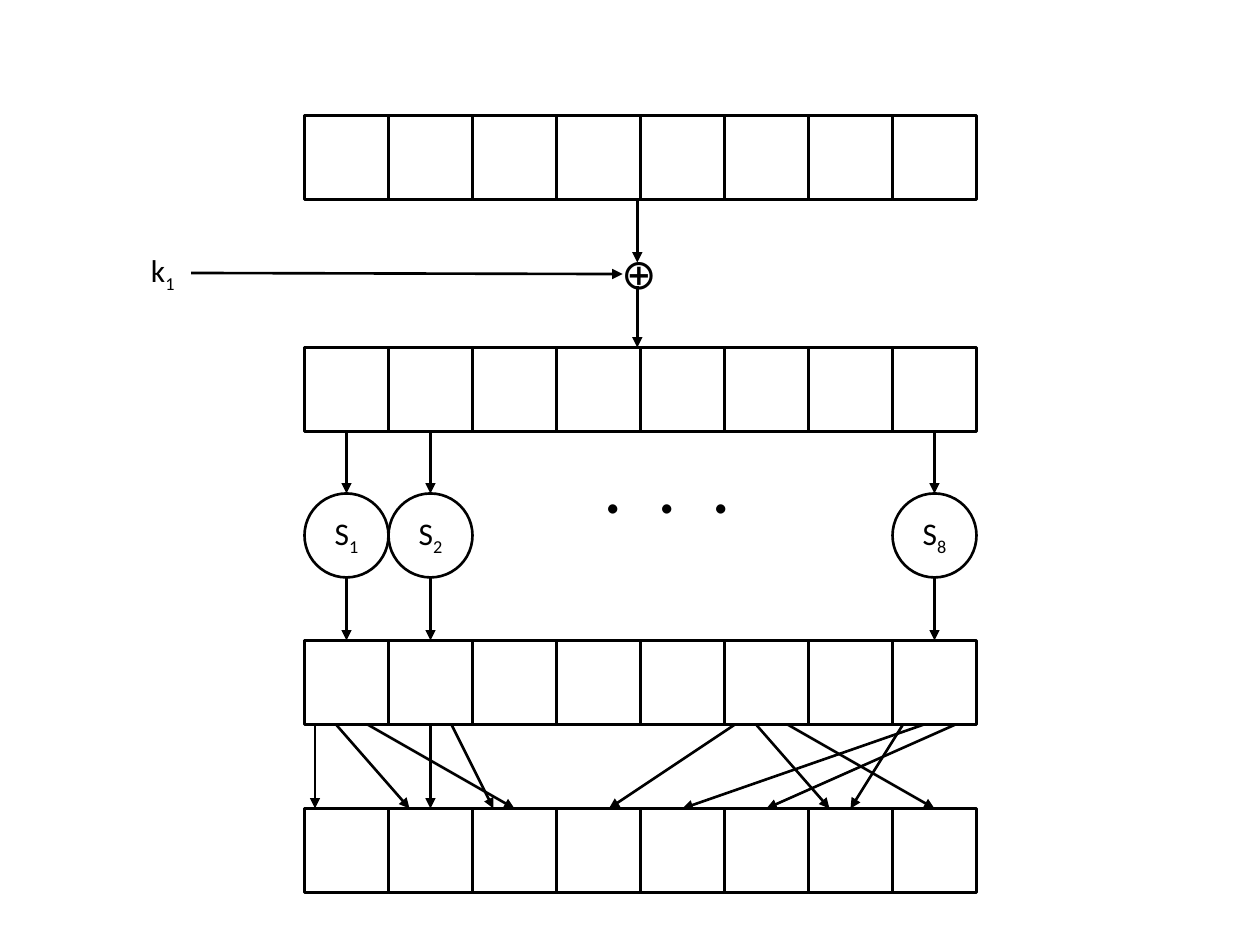
from lxml import etree
from pptx import Presentation
from pptx.dml.color import RGBColor
from pptx.enum.shapes import MSO_CONNECTOR, MSO_SHAPE
from pptx.enum.text import MSO_ANCHOR, PP_ALIGN
from pptx.oxml.ns import qn
from pptx.util import Pt

PX = 7620  # EMU per px, 120 px to the inch
CELL, LEFT, COUNT = 80, 290, 8
INPUT_Y, MIXED_Y, SBOX_Y, SUBST_Y, PERM_Y = 110, 331, 470, 610, 770
XOR_X = 607

prs = Presentation()
prs.slide_width, prs.slide_height = 1200 * PX, 900 * PX
s = prs.slides.add_slide(prs.slide_layouts[6])


def paint(fmt, color="000000"):
    fmt.fill.solid()
    fmt.fill.fore_color.rgb = RGBColor.from_string(color)


def write(tf, text, size, sub="", spacing=0):
    """Put text and an optional subscript into the first paragraph."""
    p = tf.paragraphs[0]
    for part in filter(None, (text, sub)):
        r = p.add_run()
        r.text = part
        for name, value in {"name": "Calibri", "size": Pt(size)}.items():
            setattr(r.font, name, value)
        paint(r.font)
        if spacing:
            r.font._element.set("spc", str(spacing))
    if sub:
        r.font._element.set("baseline", "-25000")


# Rows of bytes, then the S-boxes
columns = [LEFT + i * CELL for i in range(COUNT)]
outlines = [(MSO_SHAPE.RECTANGLE, x, y, "")
            for y in (INPUT_Y, MIXED_Y, SUBST_Y, PERM_Y) for x in columns]
outlines += [(MSO_SHAPE.OVAL, columns[n - 1], SBOX_Y, str(n)) for n in (1, 2, 8)]
for kind, x, y, number in outlines:
    sp = s.shapes.add_shape(kind, x * PX, y * PX, CELL * PX, CELL * PX)
    sp.shadow.inherit = False
    sp.fill.background()
    paint(sp.line)
    sp.line.width = Pt(1.5)
    if number:
        tf = sp.text_frame
        tf.vertical_anchor = MSO_ANCHOR.MIDDLE
        tf.paragraphs[0].alignment = PP_ALIGN.CENTER
        write(tf, "S", 18, number)

# Arrows: key mixing, substitution, permutation
arrows = [
    (XOR_X, INPUT_Y + CELL, XOR_X, 250),
    (XOR_X, 272, XOR_X, MIXED_Y),
    (182, 260, 593, 261),
]
for n in (1, 2, 8):
    x = columns[n - 1] + CELL // 2
    arrows += [(x, MIXED_Y + CELL, x, SBOX_Y), (x, SBOX_Y + CELL, x, SUBST_Y)]
permutation = [(300, 300), (320, 390), (350, 490), (410, 410), (430, 470), (700, 580),
               (720, 790), (750, 890), (860, 810), (880, 650), (910, 730)]
arrows += [(a, SUBST_Y + CELL, b, PERM_Y) for a, b in permutation]
for ends in arrows:
    c = s.shapes.add_connector(MSO_CONNECTOR.STRAIGHT, *(v * PX for v in ends))
    paint(c.line)
    c.line.width = Pt(1.5)
    etree.SubElement(c.line._get_or_add_ln(), qn("a:tailEnd"), type="triangle")
    etree.SubElement(c._element.spPr, qn("a:effectLst"))

# Labels
for x, y, w, h, text, size, sub, spacing in [
    (580, 230, 55, 60, "⊕", 24, "", 0),
    (132, 233, 48, 48, "k", 18, "1", 0),
    (563, 410, 148, 101, ". . .", 44, "", 500),
]:
    tf = s.shapes.add_textbox(x * PX, y * PX, w * PX, h * PX).text_frame
    tf.word_wrap = False
    write(tf, text, size, sub, spacing)

prs.save("out.pptx")
